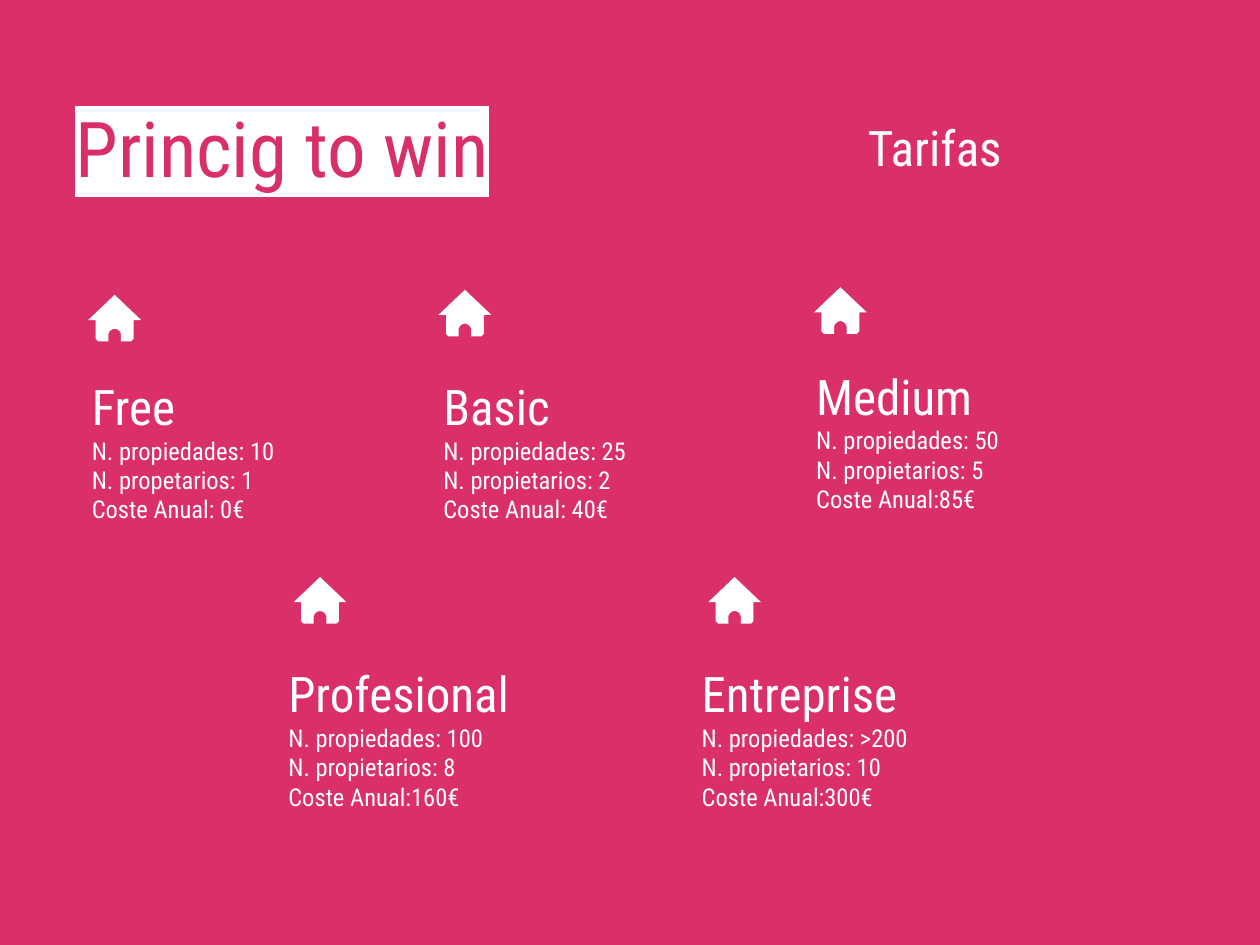
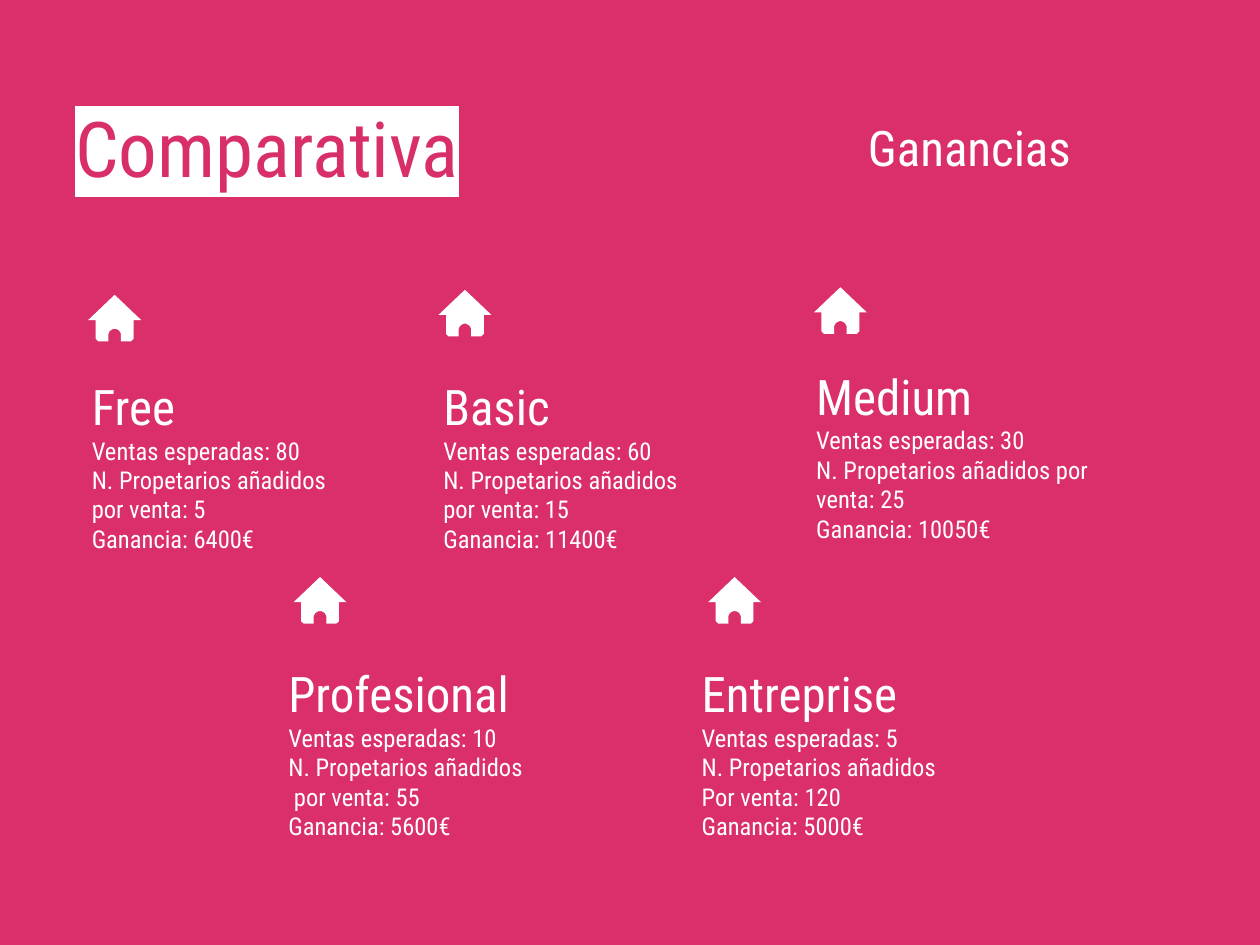
from dataclasses import dataclass

from lxml.etree import SubElement
from pptx import Presentation
from pptx.dml.color import RGBColor
from pptx.enum.text import MSO_ANCHOR
from pptx.oxml.ns import qn
from pptx.slide import Slide
from pptx.text.text import _Run
from pptx.util import Inches, Pt

PINK = RGBColor(0xDB, 0x2F, 0x6B)
TITLE_PINK = RGBColor(0xD8, 0x2F, 0x6B)
WHITE = RGBColor(0xFF, 0xFF, 0xFF)
FONT = "Roboto Condensed"
TITLE_SIZE, HEADING_SIZE, DETAIL_SIZE = 44, 28, 14

HOUSE_MIDDLE = 0.21
HOUSE_LEFT = [
    (0.21, 0), (0, 0.2), (0.06, 0.2), (0.06, 0.35), (0.07, 0.36), (0.08, 0.37),
    (0.16, 0.37), (0.16, 0.31), (0.17, 0.29), (0.18, 0.28), (0.2, 0.27),
]
HOUSE_RIGHT = [(2 * HOUSE_MIDDLE - x, y) for x, y in reversed(HOUSE_LEFT[1:])]
HOUSE_OUTLINE = HOUSE_LEFT + HOUSE_RIGHT


@dataclass(frozen=True)
class Line:
    text: str
    size: int
    color: RGBColor = WHITE


@dataclass(frozen=True)
class Plan:
    name: str
    left: float
    top: float
    width: float
    height: float
    icon_left: float
    icon_top: float


@dataclass(frozen=True)
class PlanPage:
    title: str
    subtitle: str
    details: dict[str, list[str]]


PLANS = [
    Plan("Free", 0.63, 2.89, 2.29, 1.73, 0.7, 2.34),
    Plan("Basic", 3.42, 2.89, 2.19, 1.69, 3.48, 2.3),
    Plan("Medium", 6.38, 2.81, 2.36, 1.69, 6.46, 2.28),
    Plan("Profesional", 2.19, 5.17, 2.39, 1.54, 2.33, 4.58),
    Plan("Entreprise", 5.47, 5.17, 2.39, 1.54, 5.62, 4.58),
]

PAGES = [
    PlanPage("Princig to win", "Tarifas", {
        "Free": ["N. propiedades: 10", "N. propetarios: 1", "Coste Anual: 0€"],
        "Basic": ["N. propiedades: 25", "N. propietarios: 2", "Coste Anual: 40€"],
        "Medium": ["N. propiedades: 50", "N. propietarios: 5", "Coste Anual:85€"],
        "Profesional": ["N. propiedades: 100", "N. propietarios: 8", "Coste Anual:160€"],
        "Entreprise": ["N. propiedades: >200", "N. propietarios: 10", "Coste Anual:300€"],
    }),
    PlanPage("Comparativa", "Ganancias", {
        "Free": ["Ventas esperadas: 80", "N. Propetarios añadidos por venta: 5",
                 "Ganancia: 6400€"],
        "Basic": ["Ventas esperadas: 60", "N. Propetarios añadidos por venta: 15",
                  "Ganancia: 11400€"],
        "Medium": ["Ventas esperadas: 30", "N. Propetarios añadidos por venta: 25",
                   "Ganancia: 10050€"],
        "Profesional": ["Ventas esperadas: 10", "N. Propetarios añadidos",
                        " por venta: 55", "Ganancia: 5600€"],
        "Entreprise": ["Ventas esperadas: 5", "N. Propetarios añadidos",
                       "Por venta: 120", "Ganancia: 5000€"],
    }),
]


def add_text(page: Slide, left: float, top: float, width: float, height: float,
             lines: list[Line]) -> list[_Run]:
    box = page.shapes.add_textbox(Inches(left), Inches(top), Inches(width), Inches(height))
    frame = box.text_frame
    frame.word_wrap = True
    frame.vertical_anchor = MSO_ANCHOR.TOP
    frame.margin_left = frame.margin_right = Inches(0.1)
    frame.margin_top = frame.margin_bottom = Inches(0.1)
    spans = []
    for index, line in enumerate(lines):
        para = frame.add_paragraph() if index else frame.paragraphs[0]
        span = para.add_run()
        span.text = line.text
        span.font.name = FONT
        span.font.size = Pt(line.size)
        span.font.color.rgb = line.color
        spans.append(span)
    return spans


def highlight(span: _Run, color: RGBColor) -> None:
    properties = span.font._element
    marker = SubElement(properties, qn("a:highlight"))
    SubElement(marker, qn("a:srgbClr"), val=str(color))
    properties.find(qn("a:solidFill")).addnext(marker)


def add_house(page: Slide, left: float, top: float) -> None:
    points = [(Inches(left + x), Inches(top + y)) for x, y in HOUSE_OUTLINE]
    builder = page.shapes.build_freeform(*points[0])
    builder.add_line_segments(points[1:], close=True)
    house = builder.convert_to_shape()
    house.shadow.inherit = False
    house.fill.solid()
    house.fill.fore_color.rgb = WHITE
    house.line.fill.background()


def add_plan(page: Slide, plan: Plan, details: list[str]) -> None:
    lines = [Line(plan.name, HEADING_SIZE)]
    lines += [Line(detail, DETAIL_SIZE) for detail in details]
    add_text(page, plan.left, plan.top, plan.width, plan.height, lines)
    add_house(page, plan.icon_left, plan.icon_top)


def main() -> None:
    deck = Presentation()
    deck.slide_width, deck.slide_height = Inches(10), Inches(7.5)
    for content in PAGES:
        page = deck.slides.add_slide(deck.slide_layouts[6])
        page.background.fill.solid()
        page.background.fill.fore_color.rgb = PINK
        title = Line(content.title, TITLE_SIZE, TITLE_PINK)
        highlight(add_text(page, 0.5, 0.7, 5.64, 0.91, [title])[0], WHITE)
        add_text(page, 6.79, 0.83, 2.41, 0.58, [Line(content.subtitle, HEADING_SIZE)])
        for plan in PLANS:
            add_plan(page, plan, content.details[plan.name])
    deck.save("out.pptx")


if __name__ == "__main__":
    main()
